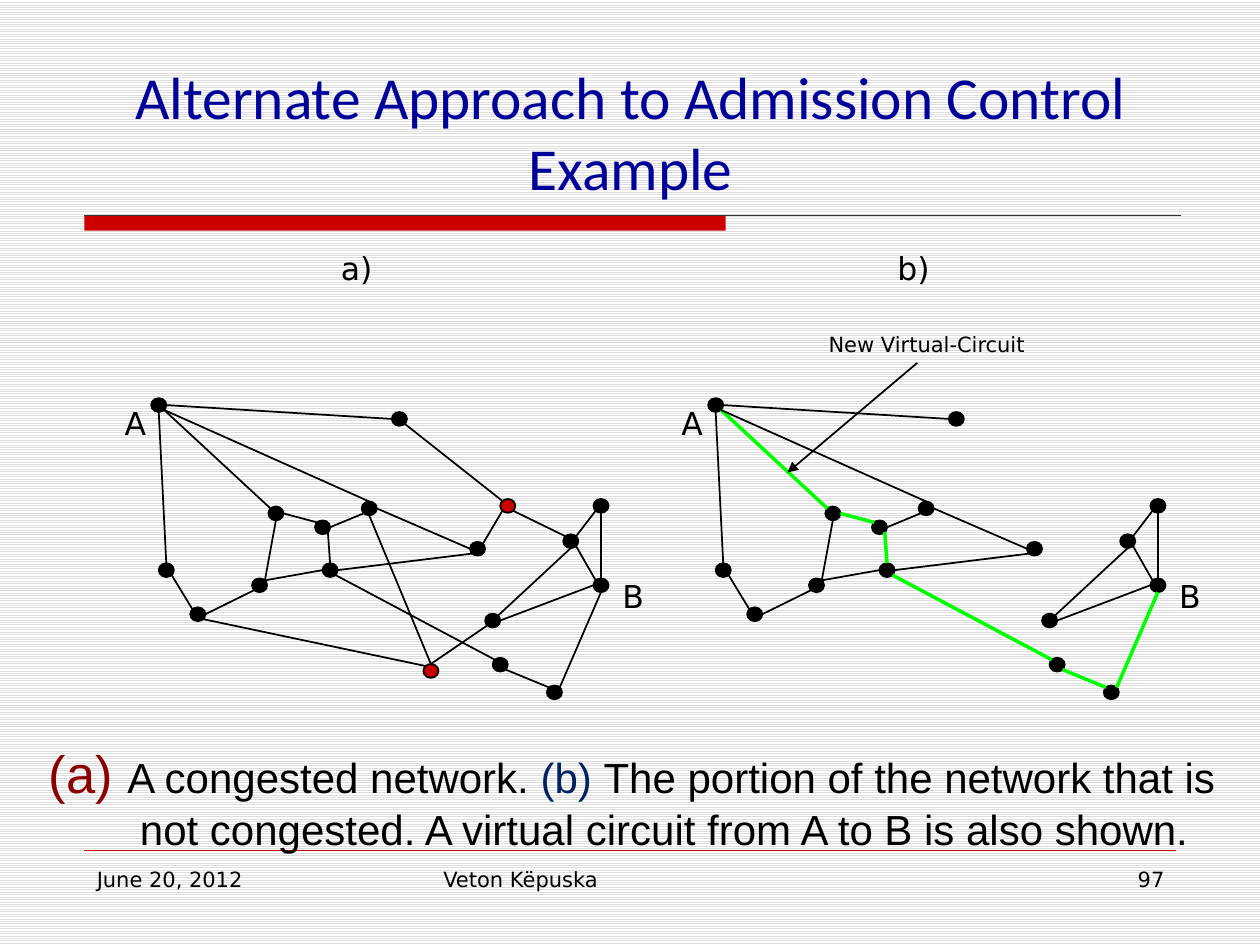
from collections import namedtuple
from dataclasses import dataclass
from math import sqrt

from lxml.etree import SubElement
from pptx import Presentation
from pptx.dml.color import RGBColor
from pptx.enum.dml import MSO_PATTERN
from pptx.enum.shapes import MSO_CONNECTOR, MSO_SHAPE
from pptx.enum.text import MSO_ANCHOR, PP_ALIGN
from pptx.oxml.ns import qn
from pptx.util import Pt

PX = 9144  # 100 px to the inch
Box = namedtuple("Box", "left top width height")


@dataclass(frozen=True)
class Theme:
    ink: str = "000000"
    paper: str = "FFFFFF"
    stripe: str = "DDDDDD"
    title: str = "000099"
    accent: str = "CC0000"
    rule: str = "333333"
    circuit: str = "00FF00"
    mark_a: str = "8B0000"
    mark_b: str = "002060"
    title_font: str = "Calibri"
    label_font: str = "DejaVu Sans"
    caption_font: str = "Arial"
    title_size: int = 34
    mark_size: int = 30
    caption_size: int = 24
    label_size: int = 18
    small_size: int = 12


THEME = Theme()

NODE_WIDTH, NODE_HEIGHT = 12, 11
NODES = {  # left, top within the panel
    "A": (31, 123), "W": (37, 254), "SW": (62, 289), "C": (111, 266),
    "D": (124, 209), "E": (161, 220), "F": (167, 254), "G": (198, 205),
    "H": (247, 334), "I": (296, 294), "J": (302, 329), "K": (345, 351),
    "B": (382, 266), "L": (358, 231), "M": (382, 203), "N": (308, 203),
    "O": (284, 237), "P": (222, 134),
}
CONGESTED = {"H", "N"}
LINKS = [  # node and compass side at each end
    "A s W n", "W se SW nw", "C sw SW e", "D s C ne", "F w C ne", "D e E nw",
    "E se F n", "A se D nw", "A e P w", "P se N nw", "A se G n", "E e G sw",
    "G e O w", "F e O sw", "SW se H nw", "G s H n", "N sw O ne", "N se L nw",
    "M sw L ne", "M s B n", "L se B nw", "B s K ne", "J se K nw", "J nw F se",
    "H n I sw", "I e B w", "I ne L s",
]
CIRCUIT = {("A", "D"), ("D", "E"), ("E", "F"), ("J", "F"), ("J", "K"), ("B", "K")}


def rgb(colour):
    return RGBColor.from_string(colour)


def emu(*lengths):
    return [round(length * PX) for length in lengths]


def style(font, name, size, colour):
    font.name, font.size, font.color.rgb = name, Pt(size), rgb(colour)


def add_text(slide, box, text, size, align=PP_ALIGN.LEFT, font=THEME.label_font,
             colour=THEME.ink, anchor=MSO_ANCHOR.TOP):
    frame = slide.shapes.add_textbox(*emu(*box)).text_frame
    frame.word_wrap, frame.vertical_anchor = True, anchor
    paragraph = frame.paragraphs[0]
    paragraph.text, paragraph.alignment = text, align
    style(paragraph.font, font, size, colour)
    return paragraph


def add_line(slide, start, end, colour=THEME.ink, width=1, arrow=False):
    line = slide.shapes.add_connector(MSO_CONNECTOR.STRAIGHT, *emu(*start, *end))
    line.line.color.rgb, line.line.width = rgb(colour), Pt(width)
    properties = line._element.spPr
    if arrow:
        SubElement(properties.find(qn("a:ln")), qn("a:tailEnd"), type="triangle")
    SubElement(properties, qn("a:effectLst"))


def add_solid(slide, preset, box, fill, outline=None):
    solid = slide.shapes.add_shape(preset, *emu(*box))
    solid.shadow.inherit = False
    solid.fill.solid()
    solid.fill.fore_color.rgb = rgb(fill)
    if outline:
        solid.line.color.rgb, solid.line.width = rgb(outline), Pt(1)
    else:
        solid.line.fill.background()


def attach_point(panel, node, side):
    """Point on the node's rim at the given compass side."""
    left, top = NODES[node]
    reach = 1 / sqrt(len(side))
    across = ("e" in side) - ("w" in side)
    down = ("s" in side) - ("n" in side)
    return (panel.left + left + NODE_WIDTH / 2 * (1 + across * reach),
            panel.top + top + NODE_HEIGHT / 2 * (1 + down * reach))


def add_network(slide, panel, label, congested):
    """Whole network, or only its uncongested part with the virtual circuit."""
    for node, (left, top) in NODES.items():
        if congested or node not in CONGESTED:
            fill = THEME.accent if node in CONGESTED else THEME.ink
            add_solid(slide, MSO_SHAPE.OVAL,
                      Box(panel.left + left, panel.top + top, NODE_WIDTH, NODE_HEIGHT),
                      fill, THEME.ink)
    for link in LINKS:
        source, source_side, target, target_side = link.split()
        if not congested and CONGESTED & {source, target}:
            continue
        on_circuit = not congested and (source, target) in CIRCUIT
        add_line(slide, attach_point(panel, source, source_side),
                 attach_point(panel, target, target_side),
                 THEME.circuit if on_circuit else THEME.ink, 2 if on_circuit else 1)
    for text, left, top, width in (("A", 0, 123, 31), ("B", 395, 260, 31),
                                   (label, 15, 0, 358)):
        add_text(slide, Box(panel.left + left, panel.top + top, width, 40),
                 text, THEME.label_size, PP_ALIGN.CENTER)


def add_circuit_callout(slide, box):
    add_text(slide, Box(box.left, box.top, box.width, 30), "New Virtual-Circuit",
             THEME.small_size, PP_ALIGN.CENTER)
    add_line(slide, (box.left + 84, box.top + 30),
             (box.left - 19, box.top + box.height), arrow=True)


def add_heading(slide, box):
    add_text(slide, Box(box.left, box.top, box.width, 133),
             "Alternate Approach to Admission Control Example", THEME.title_size,
             PP_ALIGN.CENTER, THEME.title_font, THEME.title, MSO_ANCHOR.BOTTOM)
    bar = Box(box.left + 4, box.top + 138, 509, 12)
    add_solid(slide, MSO_SHAPE.RECTANGLE, bar, THEME.accent)
    add_line(slide, (bar.left, bar.top), (bar.left + 870, bar.top), THEME.rule, 0.75)


def add_caption(slide, box):
    caption = add_text(slide, box, "", THEME.caption_size, PP_ALIGN.CENTER,
                       THEME.caption_font)
    hanging = emu(51)[0]
    properties = caption._p.get_or_add_pPr()
    properties.set("marL", str(hanging))
    properties.set("indent", str(-hanging))
    for text, size, colour in (
        ("(a) ", THEME.mark_size, THEME.mark_a),
        ("A congested network. ", THEME.caption_size, THEME.ink),
        ("(b) ", THEME.caption_size, THEME.mark_b),
        ("The portion of the network that is not congested. "
         "A virtual circuit from A to B is also shown.", THEME.caption_size, THEME.ink),
    ):
        run = caption.add_run()
        run.text = text
        style(run.font, THEME.caption_font, size, colour)


def add_footer(slide, box):
    add_line(slide, (box.left, box.top), (box.left + box.width, box.top),
             THEME.accent, 0.25)
    for text, left, width, align in (
        ("June 20, 2012", 0, 217, PP_ALIGN.LEFT),
        ("Veton Këpuska", 275, 317, PP_ALIGN.LEFT),
        ("97", 650, 217, PP_ALIGN.RIGHT),
    ):
        add_text(slide, Box(box.left + left, box.top + 8, width, 52), text,
                 THEME.small_size, align)


def main():
    deck = Presentation()
    deck.slide_width, deck.slide_height = emu(1000, 750)
    slide = deck.slides.add_slide(deck.slide_layouts[6])
    backdrop = slide.background.fill
    backdrop.patterned()
    backdrop.pattern = MSO_PATTERN.LIGHT_HORIZONTAL
    backdrop.fore_color.rgb, backdrop.back_color.rgb = rgb(THEME.stripe), rgb(THEME.paper)

    add_heading(slide, Box(63, 33, 875, 150))
    add_footer(slide, Box(67, 675, 866, 60))
    add_network(slide, Box(89, 193, 426, 362), "a)", congested=True)
    add_network(slide, Box(531, 193, 426, 362), "b)", congested=False)
    add_circuit_callout(slide, Box(644, 258, 183, 117))
    add_caption(slide, Box(17, 583, 969, 92))
    deck.save("out.pptx")


if __name__ == "__main__":
    main()
